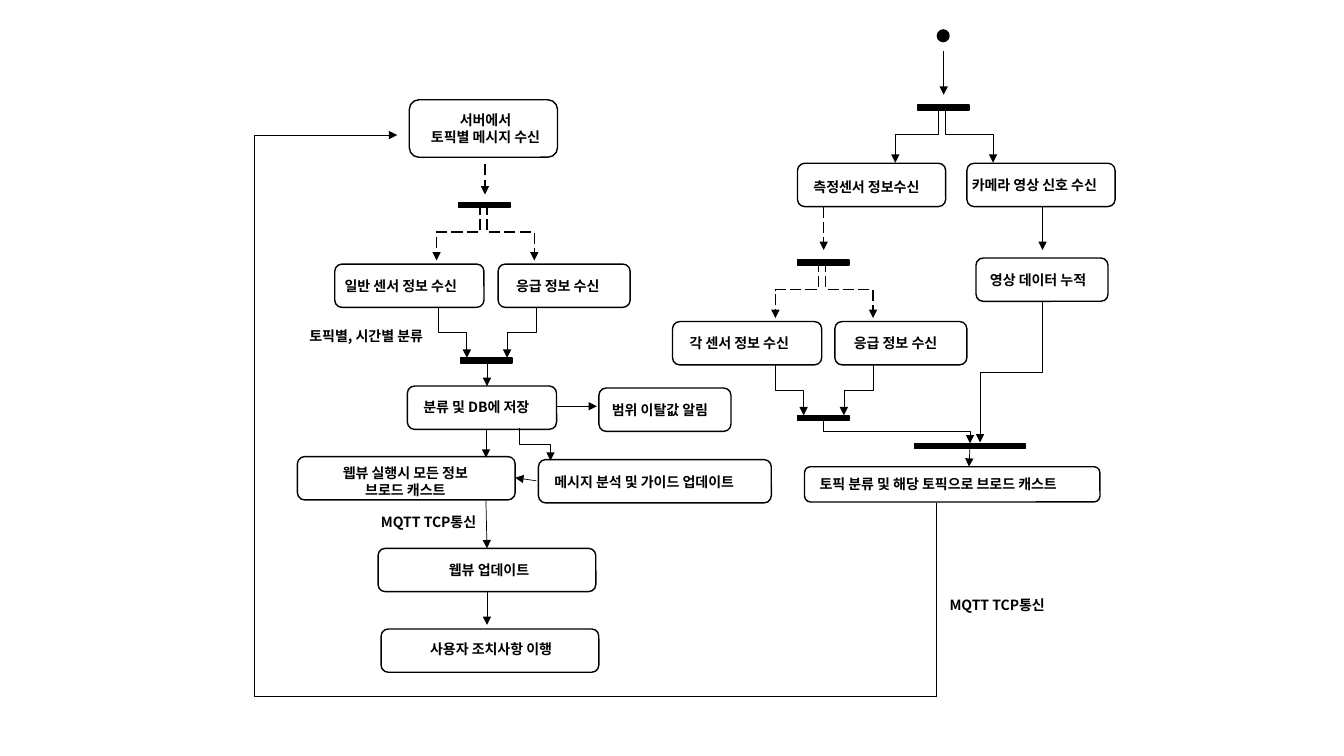
from lxml.etree import SubElement
from pptx import Presentation
from pptx.dml.color import RGBColor
from pptx.enum.dml import MSO_LINE
from pptx.enum.shapes import MSO_CONNECTOR, MSO_SHAPE
from pptx.enum.text import MSO_AUTO_SIZE, PP_ALIGN
from pptx.oxml.ns import qn
from pptx.util import Cm, Pt

BLACK = "000000"
FONT = "Noto Sans CJK KR"
STEP_HEIGHT = 0.43
BAR_WIDTH, BAR_HEIGHT = 0.51, 0.05

# left, top, width, height of the step; left, top, width of its label
STEPS = [
    ((7.91, 1.62, 1.47, STEP_HEIGHT), (7.97, 1.72, 1.47), ["측정센서 정보수신"], False),
    ((9.59, 1.62, 1.47, STEP_HEIGHT), (9.54, 1.7, 1.67), ["카메라 영상 신호 수신"], False),
    ((6.67, 3.19, 1.48, STEP_HEIGHT), (6.74, 3.27, 1.45), ["각 센서 정보 수신"], False),
    ((8.28, 3.19, 1.31, STEP_HEIGHT), (8.37, 3.27, 1.17), ["응급 정보 수신"], False),
    ((9.68, 2.56, 1.31, STEP_HEIGHT), (9.72, 2.64, 1.31), ["영상 데이터 누적"], False),
    ((7.98, 4.63, 2.93, 0.35), (8.03, 4.67, 2.87), ["토픽 분류 및 해당 토픽으로 브로드 캐스트"], False),
    ((4.06, 0.99, 1.47, 0.57), (4.08, 1.06, 1.47), ["서버에서", "토픽별 메시지 수신"], True),
    ((3.32, 2.62, 1.48, STEP_HEIGHT), (3.32, 2.7, 1.5), ["일반 센서 정보 수신"], False),
    ((4.94, 2.62, 1.31, STEP_HEIGHT), (5.02, 2.7, 1.17), ["응급 정보 수신"], False),
    ((4.04, 3.83, 1.48, STEP_HEIGHT), (4.1, 3.9, 1.5), ["분류 및 DB에 저장"], False),
    ((2.95, 4.53, 2.16, STEP_HEIGHT), (3.09, 4.56, 1.86), ["웹뷰 실행시 모든 정보", "브로드 캐스트"], True),
    ((5.94, 3.85, 1.31, STEP_HEIGHT), (5.97, 3.93, 1.3), ["범위 이탈값 알림"], False),
    ((3.75, 5.44, 2.16, STEP_HEIGHT), (3.92, 5.52, 1.86), ["웹뷰 업데이트"], True),
    ((5.34, 4.56, 2.31, STEP_HEIGHT), (5.4, 4.65, 2.24), ["메시지 분석 및 가이드 업데이트"], False),
    ((3.78, 6.24, 2.16, STEP_HEIGHT), (3.94, 6.31, 1.86), ["사용자 조치사항 이행"], True),
]
NOTES = [
    ((9.32, 5.87, 1.34), "MQTT TCP통신"),
    ((3.68, 5.05, 1.34), "MQTT TCP통신"),
    ((2.97, 3.2, 1.45), "토픽별, 시간별 분류"),
]
SOLID_ARROWS = [
    (9.36, 0.51, 9.36, 0.94), (10.34, 2.05, 10.34, 2.48),
    (9.62, 4.45, 9.61, 4.63), (4.83, 3.57, 4.83, 3.83),
    (4.82, 4.26, 4.82, 4.54), (5.52, 4.03, 5.92, 4.03),
    (4.82, 4.97, 4.83, 5.44), (5.32, 4.77, 5.11, 4.74),
    (4.83, 5.87, 4.83, 6.2), (2.52, 1.34, 3.94, 1.34),
]
DASHED_ARROWS = [(8.17, 2.05, 8.17, 2.48), (4.81, 1.63, 4.81, 1.93)]
RETURN_LINES = [
    (9.29, 4.99, 9.29, 6.91), (2.52, 6.91, 9.29, 6.91), (2.52, 1.35, 2.52, 6.91),
]


def lengths(*inches):
    """Turn inches into slide lengths."""
    return [Cm(value * 2.54) for value in inches]


def color(hex_string):
    """Return the colour for a hex string."""
    return RGBColor.from_string(hex_string)


def add_outline(slide, kind, box, fill=None, outlined=True):
    """Add a preset shape with an optional fill and black outline."""
    outline = slide.shapes.add_shape(kind, *lengths(*box))
    outline.shadow.inherit = False
    if fill:
        outline.fill.solid()
        outline.fill.fore_color.rgb = color(fill)
    else:
        outline.fill.background()
    if outlined:
        outline.line.color.rgb = color(BLACK)
        outline.line.width = Pt(1)
    else:
        outline.line.fill.background()


def add_label(slide, place, lines, centred=False):
    """Add bold text, one paragraph a line."""
    height = 0.1 + 0.17 * len(lines)
    frame = slide.shapes.add_textbox(*lengths(*place, height)).text_frame
    frame.word_wrap = True
    frame.auto_size = MSO_AUTO_SIZE.SHAPE_TO_FIT_TEXT
    for index, line in enumerate(lines):
        paragraph = frame.add_paragraph() if index else frame.paragraphs[0]
        if centred:
            paragraph.alignment = PP_ALIGN.CENTER
        run = paragraph.add_run()
        run.text = line
        run.font.size = Pt(10)
        run.font.bold = True
        run.font.color.rgb = color(BLACK)
        run.font.name = FONT
        SubElement(run.font._element, qn("a:ea"), typeface=FONT)


def add_line(slide, ends, kind=MSO_CONNECTOR.STRAIGHT, width=0.5, dashed=False, arrow=True):
    """Add a black connector, with an arrowhead unless told otherwise."""
    flow = slide.shapes.add_connector(kind, *lengths(*ends))
    flow.line.color.rgb = color(BLACK)
    flow.line.width = Pt(width)
    if dashed:
        flow.line.dash_style = MSO_LINE.LONG_DASH
    properties = flow._element.spPr
    if arrow:
        SubElement(properties.find(qn("a:ln")), qn("a:tailEnd"), type="triangle")
    SubElement(properties, qn("a:effectLst"))
    return flow


def add_elbow(slide, start, end, width=0.5, dashed=False):
    """Add an arrow that goes down, sideways and down again."""
    (x1, y1), (x2, y2) = start, end
    middle_x, middle_y = (x1 + x2) / 2, (y1 + y2) / 2
    rightward = x2 > x1
    reach = (y1 - y2 if rightward else y2 - y1) / 2
    rise = abs(x2 - x1) / 2
    ends = (middle_x - reach, middle_y - rise, middle_x + reach, middle_y + rise)
    elbow = add_line(slide, ends, MSO_CONNECTOR.ELBOW, width, dashed)
    elbow._element.spPr.xfrm.set("rot", str((270 if rightward else 90) * 60000))


def add_bar(slide, x, y, width=BAR_WIDTH):
    """Add a black synchronisation bar."""
    add_outline(slide, MSO_SHAPE.RECTANGLE, (x, y, width, BAR_HEIGHT), BLACK)


def add_fork(slide, x, y, dashed=False):
    """Add a bar with two arrows spreading below it."""
    add_bar(slide, x, y)
    width = 1 if dashed else 0.5
    for start, end in ((0.21, -0.22), (0.28, 0.75)):
        add_elbow(slide, (x + start, y + 0.01), (x + end, y + 0.575), width, dashed)


def add_join(slide, x, y):
    """Add a bar with two arrows meeting on it."""
    add_bar(slide, x, y)
    for start, end in ((-0.22, 0.06), (0.75, 0.46)):
        add_elbow(slide, (x + start, y - 0.5), (x + end, y))


def main():
    """Build the activity diagram and save it."""
    deck = Presentation()
    deck.slide_width, deck.slide_height = lengths(13.33, 7.5)
    slide = deck.slides.add_slide(deck.slide_layouts[6])

    add_outline(slide, MSO_SHAPE.OVAL, (9.29, 0.29, 0.13, 0.13), BLACK, outlined=False)
    for box, place, lines, centred in STEPS:
        add_outline(slide, MSO_SHAPE.ROUNDED_RECTANGLE, box)
        add_label(slide, place, lines, centred)
    for place, note in NOTES:
        add_label(slide, place, [note])

    add_fork(slide, 9.1, 1.04)
    add_fork(slide, 7.91, 2.58, dashed=True)
    add_fork(slide, 4.55, 2.01, dashed=True)
    add_join(slide, 7.91, 4.12)
    add_join(slide, 4.57, 3.55)
    add_bar(slide, 9.07, 4.4, 1.1)
    add_elbow(slide, (8.17, 4.17), (9.62, 4.4))
    add_elbow(slide, (10.34, 2.99), (9.72, 4.39))
    add_elbow(slide, (5.15, 4.25), (5.46, 4.57), width=1)

    for ends in SOLID_ARROWS:
        add_line(slide, ends)
    for ends in DASHED_ARROWS:
        add_line(slide, ends, width=1, dashed=True)
    for ends in RETURN_LINES:
        add_line(slide, ends, arrow=False)
    deck.save("out.pptx")


if __name__ == "__main__":
    main()
